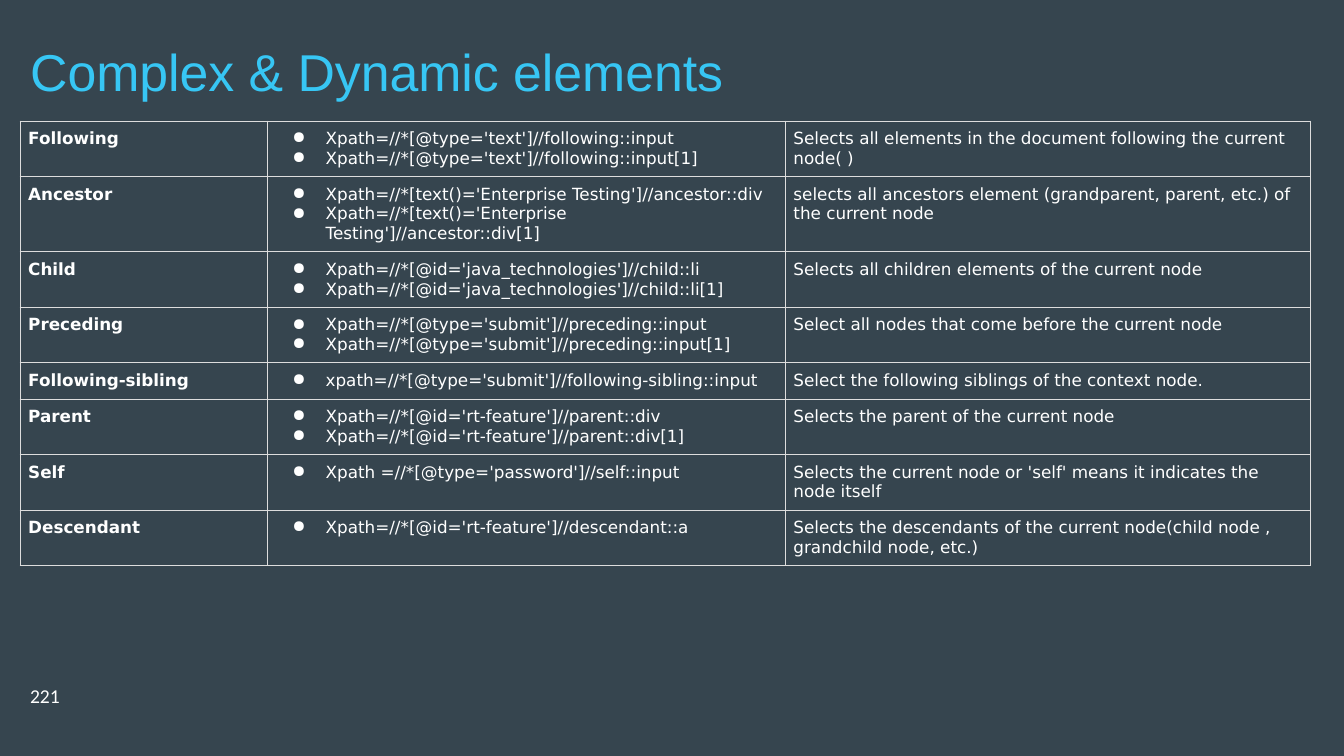
from dataclasses import dataclass
from typing import Any

from lxml import etree
from pptx import Presentation
from pptx import util as u
from pptx.dml.color import RGBColor
from pptx.enum import text
from pptx.oxml import ns

SLATE = RGBColor(0x36, 0x45, 0x4F)
SKY = RGBColor(0x37, 0xC6, 0xF4)
WHITE = RGBColor(0xFF, 0xFF, 0xFF)
GRAY = RGBColor(0xDD, 0xDD, 0xDD)

HEAD = dict(name="Arial", size=u.Pt(37), bold=False)
BODY = dict(name="DejaVu Sans", size=u.Pt(12), bold=False)
TERM = dict(BODY, bold=True)
PAGE = dict(name="Calibri", size=u.Pt(14), bold=False)
INSET = dict.fromkeys(("margin_left", "margin_right", "margin_top", "margin_bottom"), u.Inches(0.08))

WIDTHS = (24.5, 51.4, 52.1)
# Axis name, line count of the row, sample paths, meaning
AXES = (
    ("Following", 2,
     ("Xpath=//*[@type='text']//following::input",
      "Xpath=//*[@type='text']//following::input[1]"),
     "Selects all elements in the document following the current node( )"),
    ("Ancestor", 3,
     ("Xpath=//*[text()='Enterprise Testing']//ancestor::div",
      "Xpath=//*[text()='Enterprise Testing']//ancestor::div[1]"),
     "selects all ancestors element (grandparent, parent, etc.) of the current node"),
    ("Child", 2,
     ("Xpath=//*[@id='java_technologies']//child::li",
      "Xpath=//*[@id='java_technologies']//child::li[1]"),
     "Selects all children elements of the current node"),
    ("Preceding", 2,
     ("Xpath=//*[@type='submit']//preceding::input",
      "Xpath=//*[@type='submit']//preceding::input[1]"),
     "Select all nodes that come before the current node"),
    ("Following-sibling", 1,
     ("xpath=//*[@type='submit']//following-sibling::input",),
     "Select the following siblings of the context node."),
    ("Parent", 2,
     ("Xpath=//*[@id='rt-feature']//parent::div",
      "Xpath=//*[@id='rt-feature']//parent::div[1]"),
     "Selects the parent of the current node"),
    ("Self", 2,
     ("Xpath =//*[@type='password']//self::input",),
     "Selects the current node or 'self' means it indicates the node itself"),
    ("Descendant", 2,
     ("Xpath=//*[@id='rt-feature']//descendant::a",),
     "Selects the descendants of the current node(child node , grandchild node, etc.)"),
)


def grid(n):
    """Length of n grid steps, ten to the inch."""
    return u.Inches(n / 10)


def apply(item, form):
    for key, val in form.items():
        setattr(item, key, val)


def add(root, tag, **attrs):
    return etree.SubElement(root, ns.qn(tag), attrs)


@dataclass
class Page:
    slide: Any

    def paint(self, color):
        fill = self.slide.background.fill
        fill.solid()
        fill.fore_color.rgb = color

    def put(self, frame, lines, form, color=WHITE, dots=False):
        for i, line in enumerate(lines):
            para = frame.paragraphs[0] if i == 0 else frame.add_paragraph()
            para.alignment = text.PP_ALIGN.LEFT
            if dots:
                self.dot(para)
            run = para.add_run()
            run.text = line
            apply(run.font, form)
            run.font.color.rgb = color

    def dot(self, para):
        props = para._p.get_or_add_pPr()
        props.set("marL", str(u.Inches(0.5)))
        props.set("indent", str(u.Inches(-0.33)))
        add(add(props, "a:buClr"), "a:srgbClr", val=str(WHITE))
        add(props, "a:buChar", char="●")

    def title(self, line, left, top, wide, high):
        box = self.slide.shapes.title
        apply(box, dict(left=grid(left), top=grid(top), width=grid(wide), height=grid(high)))
        apply(box.text_frame, dict(word_wrap=True, auto_size=text.MSO_AUTO_SIZE.NONE,
                                   vertical_anchor=text.MSO_ANCHOR.MIDDLE))
        self.put(box.text_frame, [line], HEAD, SKY)

    def label(self, line, left, top, wide, high):
        box = self.slide.shapes.add_textbox(*map(grid, (left, top, wide, high)))
        box.text_frame.word_wrap = True
        self.put(box.text_frame, [line], PAGE)

    def edge(self, cell):
        """Draw a thin line on all four sides of a cell."""
        props = cell._tc.get_or_add_tcPr()
        for i, side in enumerate("LRTB"):
            line = add(props, f"a:ln{side}", w=str(u.Pt(0.75)))
            add(add(line, "a:solidFill"), "a:srgbClr", val=str(GRAY))
            props.insert(i, line)

    def table(self, left, top, widths, axes):
        highs = [1.7 + 1.9 * count for _, count, _, _ in axes]
        table = self.slide.shapes.add_table(
            len(axes), len(widths),
            *map(grid, (left, top, sum(widths), sum(highs)))).table
        apply(table, dict(first_row=False, horz_banding=False))
        for col, wide in zip(table.columns, widths):
            col.width = grid(wide)
        for row, high, (name, _, paths, note) in zip(table.rows, highs, axes):
            row.height = grid(high)
            parts = (([name], TERM, False), (paths, BODY, True), ([note], BODY, False))
            for cell, (lines, form, dots) in zip(row.cells, parts):
                apply(cell, INSET)
                cell.fill.background()
                self.edge(cell)
                self.put(cell.text_frame, lines, form, dots=dots)


def main():
    deck = Presentation()
    apply(deck, dict(slide_width=u.Inches(13.33), slide_height=u.Inches(7.5)))
    page = Page(deck.slides.add_slide(deck.slide_layouts[5]))
    page.paint(SLATE)
    page.title("Complex & Dynamic elements", 2, 2, 130, 10)
    page.table(2, 12, WIDTHS, AXES)
    page.label("221", 2, 67.4, 13.3, 5)
    deck.save("out.pptx")


if __name__ == "__main__":
    main()
